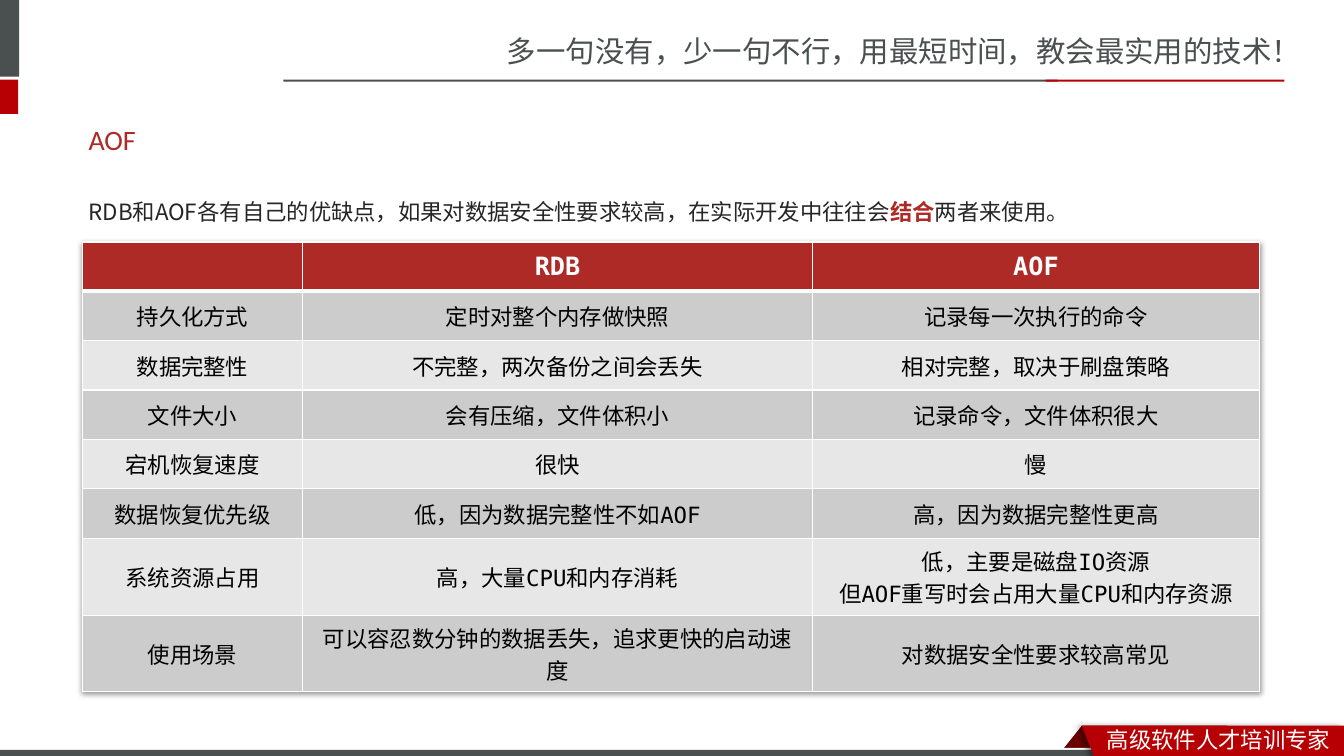
from dataclasses import dataclass

from lxml.etree import SubElement
from pptx import Presentation
from pptx.dml.color import RGBColor
from pptx.enum.shapes import MSO_SHAPE as Preset
from pptx.enum.text import MSO_ANCHOR as Anchor, PP_ALIGN as Align
from pptx.oxml import parse_xml
from pptx.oxml.ns import nsdecls, qn
from pptx.util import Inches, Pt

WHITE, BLACK, SLATE = "FFFFFF", "000000", "49504F"
RED, CRIMSON, MAROON, INK = "AD2A26", "B60004", "680000", "262626"
BANDS = ("CCCCCC", "E7E7E7")
SANS, MONO, BODY = "Noto Sans CJK SC", "DejaVu Sans Mono", "Noto Sans CJK JP"


@dataclass
class Block:
    left: float
    top: float
    width: float
    height: float
    color: str
    preset: Preset = Preset.RECTANGLE


@dataclass
class Span:
    text: str
    size: int
    color: str
    latin: str = SANS
    asian: str = SANS
    bold: bool = False


@dataclass
class Label:
    left: float
    top: float
    width: float
    height: float
    spans: list[Span]
    anchor: Anchor = Anchor.TOP
    spacing: float = 1.0


BACK_BLOCKS = [
    Block(10.49, 7.2, 1.68, 0.3, MAROON, Preset.PARALLELOGRAM),
    Block(0, 7.42, 13.33, 0.11, WHITE),
    Block(-0.06, 0, 0.25, 0.76, SLATE),
    Block(-0.06, 0.79, 0.24, 0.34, CRIMSON),
    Block(2.81, 0.79, 7.68, 0.02, SLATE),
    Block(10.37, 0.79, 2.37, 0.02, CRIMSON),
    Block(0, 7.44, 10.99, 0.09, SLATE),
]
RIBBON = [(10.73, 7.2), (13.33, 7.2), (13.33, 7.54), (10.86, 7.53)]
LABELS = [
    Label(4.93, 0.28, 8.41, 0.47,
          [Span("多一句没有，少一句不行，用最短时间，教会最实用的技术！", 21, SLATE)]),
    Label(10.88, 7.15, 2.45, 0.37, [Span("高级软件人才培训专家", 16, WHITE)]),
    Label(0.78, 1.1, 11.7, 0.57, [Span("AOF", 20, RED, "Calibri")], Anchor.MIDDLE),
    Label(0.78, 1.78, 11.7, 1.48, [
        Span("RDB和AOF各有自己的优缺点，如果对数据安全性要求较高，在实际开发中往往会",
             16, INK, BODY, BODY),
        Span("结合", 16, RED, BODY, BODY, True),
        Span("两者来使用。", 16, INK, BODY, BODY),
    ], spacing=1.5),
]
COLUMN_WIDTHS = (2.18, 5.06, 4.43)
ROW_HEIGHTS = (0.49,) * 6 + (0.77, 0.75)
COMPARISON = [
    ("", "RDB", "AOF"),
    ("持久化方式", "定时对整个内存做快照", "记录每一次执行的命令"),
    ("数据完整性", "不完整，两次备份之间会丢失", "相对完整，取决于刷盘策略"),
    ("文件大小", "会有压缩，文件体积小", "记录命令，文件体积很大"),
    ("宕机恢复速度", "很快", "慢"),
    ("数据恢复优先级", "低，因为数据完整性不如AOF", "高，因为数据完整性更高"),
    ("系统资源占用", "高，大量CPU和内存消耗",
     "低，主要是磁盘IO资源\n但AOF重写时会占用大量CPU和内存资源"),
    ("使用场景", "可以容忍数分钟的数据丢失，追求更快的启动速度", "对数据安全性要求较高常见"),
]


def rgb(color: str) -> RGBColor:
    return RGBColor.from_string(color)


def paint(shape, color: str) -> None:
    shape.shadow.inherit = False
    shape.fill.solid()
    shape.fill.fore_color.rgb = rgb(color)
    shape.line.fill.background()


def shadow_effect(blur: float, distance: float, degrees: int):
    return parse_xml(
        f'<a:effectLst {nsdecls("a")}><a:outerShdw blurRad="{Pt(blur)}" dist="{Pt(distance)}" '
        f'dir="{degrees * 60000}" algn="ctr" rotWithShape="0"><a:srgbClr val="{BLACK}">'
        '<a:alpha val="40000"/></a:srgbClr></a:outerShdw></a:effectLst>')


def add_block(page, block: Block) -> None:
    shape = page.shapes.add_shape(block.preset, Inches(block.left), Inches(block.top),
                                  Inches(block.width), Inches(block.height))
    paint(shape, block.color)
    if block.preset == Preset.PARALLELOGRAM:
        shape.adjustments[0] = 0.8


def add_ribbon(page) -> None:
    start, *others = [(Inches(x), Inches(y)) for x, y in RIBBON]
    builder = page.shapes.build_freeform(*start)
    builder.add_line_segments(others, close=True)
    ribbon = builder.convert_to_shape()
    paint(ribbon, CRIMSON)
    properties = ribbon._element.spPr
    properties.replace(properties.find(qn("a:effectLst")), shadow_effect(4, 3, 180))


def add_span(para, span: Span) -> None:
    run = para.add_run()
    run.text = span.text
    font_format = {"name": span.latin, "size": Pt(span.size), "bold": span.bold}
    for name, value in font_format.items():
        setattr(run.font, name, value)
    run.font.color.rgb = rgb(span.color)
    SubElement(run._r.get_or_add_rPr(), qn("a:ea"), typeface=span.asian)


def add_label(page, label: Label) -> None:
    box = page.shapes.add_textbox(Inches(label.left), Inches(label.top),
                                  Inches(label.width), Inches(label.height))
    frame_format = {"word_wrap": True, "vertical_anchor": label.anchor}
    for name, value in frame_format.items():
        setattr(box.text_frame, name, value)
    para = box.text_frame.paragraphs[0]
    para.line_spacing = label.spacing
    for span in label.spans:
        add_span(para, span)


def add_borders(cell, row: int) -> None:
    widths = {"L": 1, "R": 1, "T": 3 if row == 1 else 1, "B": 3 if row == 0 else 1}
    for index, (side, width) in enumerate(widths.items()):
        cell._tc.get_or_add_tcPr().insert(index, parse_xml(
            f'<a:ln{side} {nsdecls("a")} w="{Pt(width)}"><a:solidFill>'
            f'<a:srgbClr val="{WHITE}"/></a:solidFill></a:ln{side}>'))


def fill_cell(cell, text: str, row: int) -> None:
    header = row == 0
    cell.vertical_anchor = Anchor.MIDDLE
    cell.fill.solid()
    cell.fill.fore_color.rgb = rgb(RED if header else BANDS[(row - 1) % 2])
    add_borders(cell, row)
    if not text:
        return
    for index, line in enumerate(text.split("\n")):
        frame = cell.text_frame
        para = frame.add_paragraph() if index else frame.paragraphs[0]
        para.alignment = Align.CENTER
        add_span(para, Span(line, 18 if header else 16, WHITE if header else BLACK,
                            MONO, bold=header))


def add_comparison(page) -> None:
    frame = page.shapes.add_table(len(COMPARISON), len(COLUMN_WIDTHS), Inches(0.82), Inches(2.4),
                                  Inches(sum(COLUMN_WIDTHS)), Inches(sum(ROW_HEIGHTS)))
    table = frame.table
    table._tbl.tblPr.insert(0, shadow_effect(4, 2, 90))
    for column, width in zip(table.columns, COLUMN_WIDTHS):
        column.width = Inches(width)
    for row, (texts, height) in enumerate(zip(COMPARISON, ROW_HEIGHTS)):
        table.rows[row].height = Inches(height)
        for column, text in enumerate(texts):
            fill_cell(table.cell(row, column), text, row)


def main() -> None:
    deck = Presentation()
    deck.slide_width, deck.slide_height = Inches(13.33), Inches(7.5)
    page = deck.slides.add_slide(deck.slide_layouts[6])
    for block in BACK_BLOCKS:
        add_block(page, block)
    add_ribbon(page)
    for label in LABELS:
        add_label(page, label)
    add_comparison(page)
    deck.save("out.pptx")


if __name__ == "__main__":
    main()
